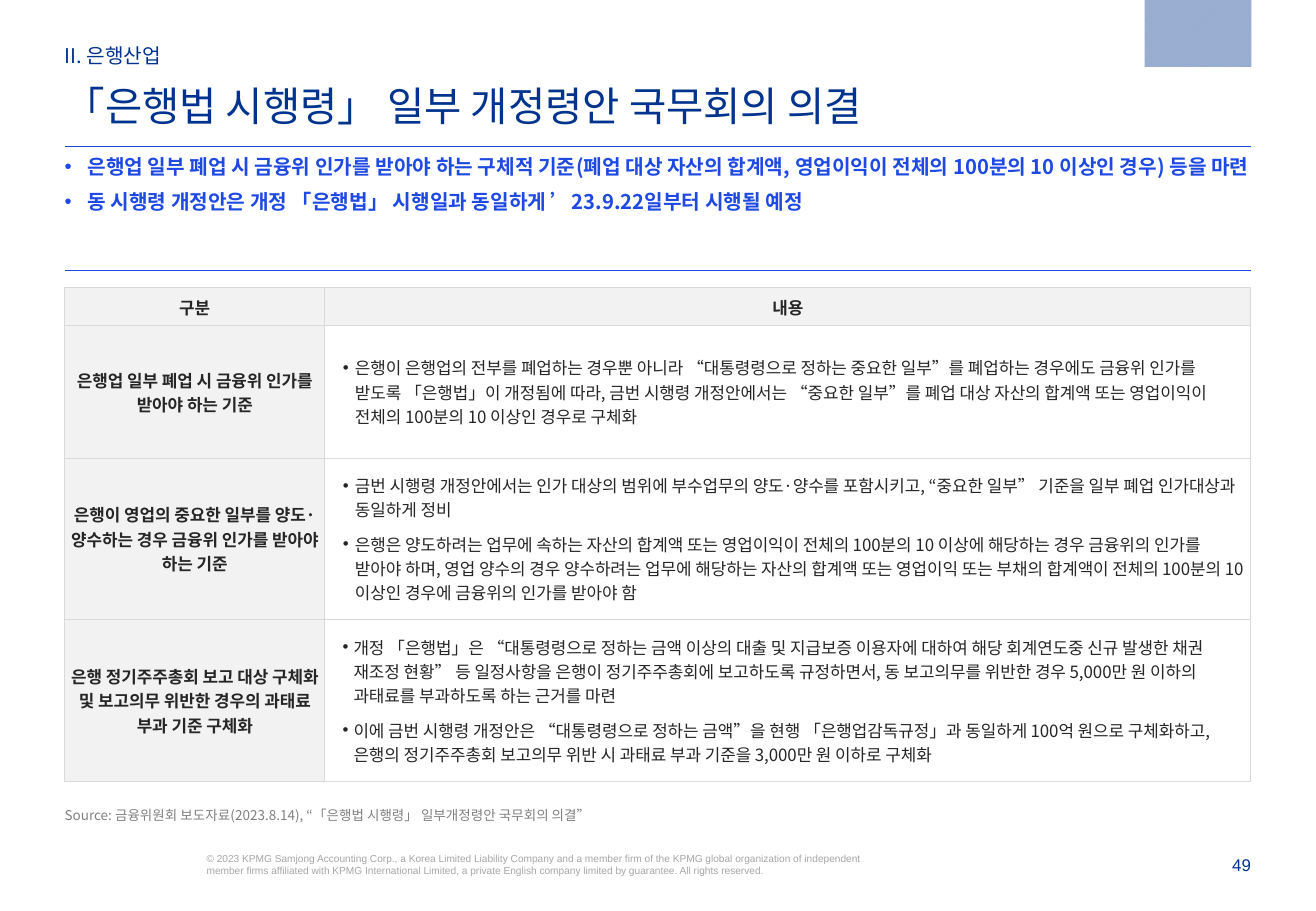
from lxml import etree
from pptx import Presentation
from pptx.dml.color import RGBColor
from pptx.enum.dml import MSO_PATTERN
from pptx.enum.shapes import MSO_CONNECTOR, MSO_SHAPE
from pptx.enum.text import MSO_ANCHOR, MSO_AUTO_SIZE, PP_ALIGN
from pptx.oxml.ns import qn
from pptx.util import Cm, Pt

LEFT, MID, RIGHT = PP_ALIGN.LEFT, PP_ALIGN.CENTER, PP_ALIGN.RIGHT
TOP, CENTER, BOTTOM = MSO_ANCHOR.TOP, MSO_ANCHOR.MIDDLE, MSO_ANCHOR.BOTTOM
HATCH = MSO_PATTERN.WIDE_UPWARD_DIAGONAL
FIXED = MSO_AUTO_SIZE.NONE
RECT, LINE = MSO_SHAPE.RECTANGLE, MSO_CONNECTOR.STRAIGHT
SANS, LATIN = "Noto Sans CJK KR", "Arial"
COLORS = {
    "navy": "00338D", "blue": "1E49E2", "ink": "262626", "gray": "808080",
    "pale": "A6A6A6", "grid": "D9D9D9", "head": "F2F2F2",
    "hatch": "A3B5D5", "tab": "99ADD1",
}
EDGE, WIDE = 1.35, 24.8  # left margin and content width in cm

HEADS = ["구분", "내용"]
ROWS = [
    ("은행업 일부 폐업 시 금융위 인가를 받아야 하는 기준", (0.5, 0.25), [
        "은행이 은행업의 전부를 폐업하는 경우뿐 아니라 “대통령령으로 정하는 중요한 일부”를 폐업하는 경우에도 "
        "금융위 인가를 받도록 「은행법」이 개정됨에 따라, 금번 시행령 개정안에서는 “중요한 일부”를 폐업 대상 "
        "자산의 합계액 또는 영업이익이 전체의 100분의 10 이상인 경우로 구체화"]),
    ("은행이 영업의 중요한 일부를 양도·양수하는 경우 금융위 인가를 받아야 하는 기준", (0.5, 0.25), [
        "금번 시행령 개정안에서는 인가 대상의 범위에 부수업무의 양도·양수를 포함시키고, “중요한 일부” 기준을 "
        "일부 폐업 인가대상과 동일하게 정비",
        "은행은 양도하려는 업무에 속하는 자산의 합계액 또는 영업이익이 전체의 100분의 10 이상에 해당하는 경우 "
        "금융위의 인가를 받아야 하며, 영업 양수의 경우 양수하려는 업무에 해당하는 자산의 합계액 또는 영업이익 "
        "또는 부채의 합계액이 전체의 100분의 10 이상인 경우에 금융위의 인가를 받아야 함"]),
    ("은행 정기주주총회 보고 대상 구체화 및 보고의무 위반한 경우의 과태료 부과 기준 구체화", (0.47, 0.23), [
        "개정 「은행법」은 “대통령령으로 정하는 금액 이상의 대출 및 지급보증 이용자에 대하여 해당 회계연도중 "
        "신규 발생한 채권 재조정 현황” 등 일정사항을 은행이 정기주주총회에 보고하도록 규정하면서, 동 보고의무를 "
        "위반한 경우 5,000만 원 이하의 과태료를 부과하도록 하는 근거를 마련",
        "이에 금번 시행령 개정안은 “대통령령으로 정하는 금액”을 현행 「은행업감독규정」과 동일하게 100억 원으로 "
        "구체화하고, 은행의 정기주주총회 보고의무 위반 시 과태료 부과 기준을 3,000만 원 이하로 구체화"]),
]
POINTS = [
    "은행업 일부 폐업 시 금융위 인가를 받아야 하는 구체적 기준(폐업 대상 자산의 합계액, 영업이익이 전체의 "
    "100분의 10 이상인 경우) 등을 마련",
    "동 시행령 개정안은 개정 「은행법」 시행일과 동일하게 ’23.9.22일부터 시행될 예정",
]
RIGHTS = ("© 2023 KPMG Samjong Accounting Corp., a Korea Limited Liability Company and a member firm of the "
          "KPMG global organization of independent member firms affiliated with KPMG International Limited, "
          "a private English company limited by guarantee. All rights reserved.")


def rgb(name):
    return RGBColor.from_string(COLORS[name])


def write(frame, texts, size=10, color="ink", bold=False, font=SANS,
          align=LEFT, indent=None, gap=0):
    """Fill a text frame with one paragraph per text."""
    for i, text in enumerate(texts):
        para = frame.paragraphs[0] if i == 0 else frame.add_paragraph()
        para.alignment = align
        para.line_spacing = 1.0
        para.space_before = Pt(gap if i else 0)
        para.space_after = Pt(0)
        if indent:
            props = para._p.get_or_add_pPr()
            props.set("marL", str(Cm(indent[0])))
            props.set("indent", str(-Cm(indent[1])))
            etree.SubElement(props, qn("a:buFont")).set("typeface", LATIN)
            etree.SubElement(props, qn("a:buChar")).set("char", "•")
        run = para.add_run()
        run.text = text
        run.font.size = Pt(size)
        run.font.bold = bold
        run.font.color.rgb = rgb(color)
        run.font.name = font
        east = etree.SubElement(run._r.get_or_add_rPr(), qn("a:ea"))
        east.set("typeface", font)


class Page:
    def __init__(self, deck):
        self.slide = deck.slides.add_slide(deck.slide_layouts[1])
        self.shapes = self.slide.shapes

    def fit(self, shape, box, texts, anchor=TOP, **style):
        shape.left, shape.top, shape.width, shape.height = map(Cm, box)
        frame = shape.text_frame
        frame.word_wrap = True
        frame.auto_size = FIXED
        frame.vertical_anchor = anchor
        frame.margin_left = frame.margin_right = 0
        frame.margin_top = frame.margin_bottom = 0
        write(frame, texts, **style)

    def holder(self, index, *args, **style):
        self.fit(self.slide.placeholders[index], *args, **style)

    def label(self, box, text, **style):
        self.fit(self.shapes.add_textbox(*map(Cm, box)), box, [text], **style)

    def rule(self, top):
        line = self.shapes.add_connector(LINE, Cm(EDGE), Cm(top), Cm(EDGE + WIDE), Cm(top))
        line.line.color.rgb = rgb("blue")
        line.line.width = Pt(0.25)
        etree.SubElement(line._element.spPr, qn("a:effectLst"))

    def tab(self, box):
        shape = self.shapes.add_shape(RECT, *map(Cm, box))
        shape.shadow.inherit = False
        shape.fill.patterned()
        shape.fill.pattern = HATCH
        shape.fill.fore_color.rgb = rgb("hatch")
        shape.fill.back_color.rgb = rgb("tab")
        shape.line.fill.background()

    def cell(self, cell, texts, head, pad=0.13, **style):
        props = cell._tc.get_or_add_tcPr()
        for side in ("lnL", "lnR", "lnT", "lnB"):
            edge = etree.SubElement(props, qn("a:" + side), w=str(Pt(0.75)))
            fill = etree.SubElement(edge, qn("a:solidFill"))
            etree.SubElement(fill, qn("a:srgbClr"), val=COLORS["grid"])
        if head:
            cell.fill.solid()
            cell.fill.fore_color.rgb = rgb("head")
            style.update(bold=True, align=MID)
        else:
            cell.fill.background()
        cell.vertical_anchor = CENTER
        cell.margin_left = cell.margin_right = Cm(pad)
        cell.margin_top = cell.margin_bottom = Cm(0.13)
        write(cell.text_frame, texts, **style)

    def table(self, top, widths, heights):
        box = map(Cm, (EDGE, top, sum(widths), sum(heights)))
        grid = self.shapes.add_table(len(heights), len(widths), *box).table
        grid.first_row = grid.horz_banding = False
        for col, width in zip(grid.columns, widths):
            col.width = Cm(width)
        for row, height in zip(grid.rows, heights):
            row.height = Cm(height)
        for i, text in enumerate(HEADS):
            self.cell(grid.cell(0, i), [text], True, pad=0.25)
        for i, (name, indent, items) in enumerate(ROWS, 1):
            self.cell(grid.cell(i, 0), [name], True)
            self.cell(grid.cell(i, 1), items, False, indent=indent, gap=6)


def main():
    deck = Presentation()
    deck.slide_width, deck.slide_height = Cm(27.51), Cm(19.05)
    page = Page(deck)

    # Heading
    page.tab((23.93, 0, 2.23, 1.4))
    page.label((EDGE, 0.91, WIDE, 0.51), "II. 은행산업", size=12, color="navy", anchor=BOTTOM)
    page.holder(0, (EDGE, 1.5, WIDE, 1.22), ["「은행법 시행령」 일부 개정령안 국무회의 의결"],
                size=24, color="navy", anchor=BOTTOM)

    # Key points between two rules
    page.rule(3.05)
    page.holder(1, (EDGE, 3.23, WIDE, 2.41), POINTS, size=12, color="blue",
                bold=True, indent=(0.48, 0.48), gap=6)
    page.rule(5.66)

    # Table of amendments
    page.table(6.02, (5.44, 19.36), (0.79, 2.77, 3.38, 3.38))

    # Source and footer
    page.label((EDGE, 16.69, WIDE, 0.53),
               "Source: 금융위원회 보도자료(2023.8.14), “「은행법 시행령」 일부개정령안 국무회의 의결”",
               size=8, color="gray", anchor=BOTTOM)
    page.label((4.32, 17.83, 14.2, 0.51), RIGHTS, size=6, color="pale", font=LATIN)
    page.label((25.46, 17.88, 0.69, 0.41), "49", size=10, color="navy", font=LATIN,
               align=RIGHT, anchor=BOTTOM)
    deck.save("out.pptx")


if __name__ == "__main__":
    main()
